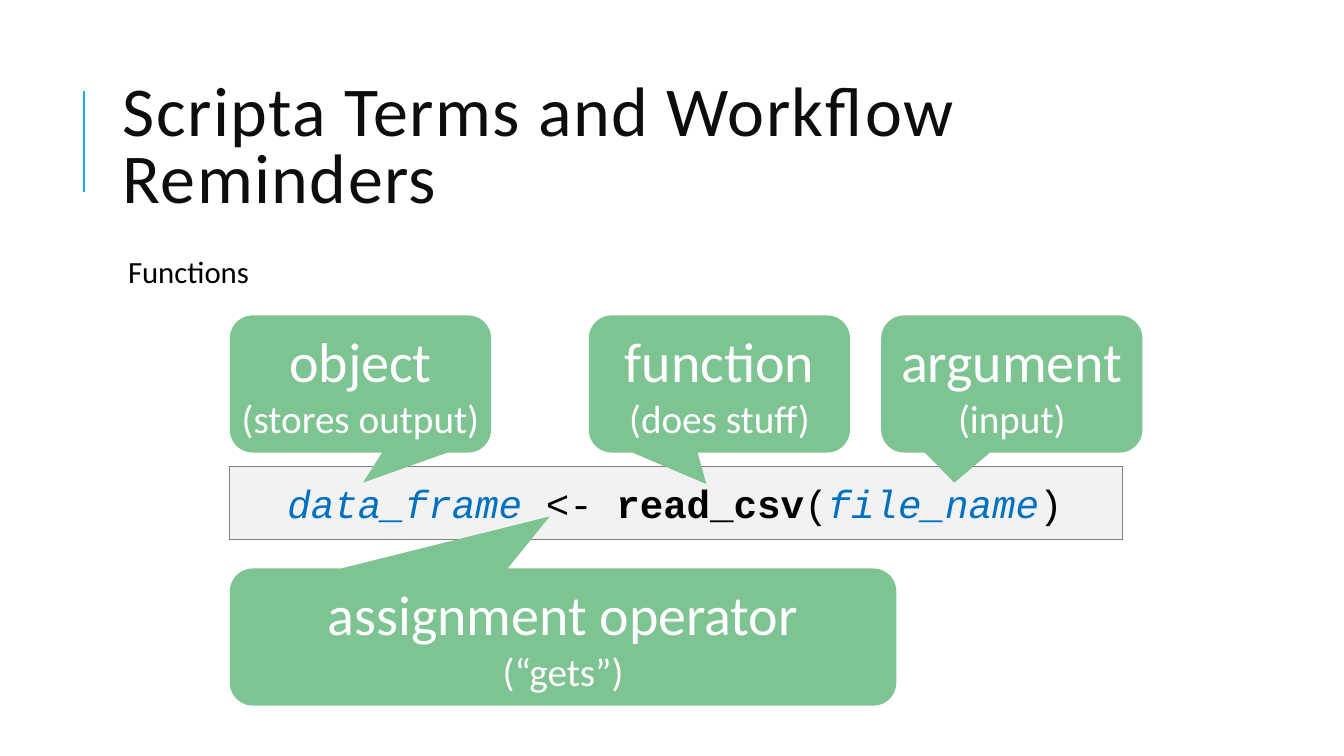
from dataclasses import dataclass

from lxml import etree
from pptx import Presentation
from pptx import util as u
from pptx.dml.color import RGBColor
from pptx.enum import shapes, text
from pptx.oxml.ns import qn


@dataclass(frozen=True)
class Theme:
    accent: str = "1CADE4"
    title: str = "0D0D0D"
    black: str = "000000"
    white: str = "FFFFFF"
    variable: str = "0070C0"
    callout: str = "7EC492"
    code_fill: str = "F2F2F2"
    code_line: str = "808080"
    body_font: str = "Calibri"
    code_font: str = "Courier New"
    title_size: int = 50
    term_size: int = 40
    code_size: int = 28
    note_size: int = 28
    topic_size: int = 22


THEME = Theme()
MARGIN = 2.28  # left edge shared by the diagram


def add_run(paragraph, words, size, color, font=THEME.body_font, bold=False, italic=False):
    run = paragraph.add_run()
    run.text = words
    run.font.name = font
    run.font.size = u.Pt(size)
    run.font.bold = bold
    run.font.italic = italic
    run.font.color.rgb = RGBColor.from_string(color)
    return run


def set_frame(shape, anchor, left=0.0, top=0.0):
    frame = shape.text_frame
    frame.word_wrap = True
    frame.vertical_anchor = anchor
    frame.margin_left, frame.margin_top = u.Inches(left), u.Inches(top)
    frame.margin_right = frame.margin_bottom = 0
    return frame


def add_label(slide, box, words, size, color, anchor, left, top, line_spacing):
    label = slide.shapes.add_textbox(*map(u.Inches, box))
    paragraph = set_frame(label, anchor, left, top).paragraphs[0]
    paragraph.line_spacing = line_spacing
    return add_run(paragraph, words, size, color)


def add_filled(slide, preset, box, fill):
    shape = slide.shapes.add_shape(preset, *map(u.Inches, box))
    shape.shadow.inherit = False
    shape.fill.solid()
    shape.fill.fore_color.rgb = RGBColor.from_string(fill)
    shape.line.fill.background()
    return shape


def add_title_rule(slide):
    x = u.Inches(0.83)
    rule = slide.shapes.add_connector(
        shapes.MSO_CONNECTOR.STRAIGHT, x, u.Inches(1.9), x, u.Inches(0.9))
    rule.line.color.rgb = RGBColor.from_string(THEME.accent)
    rule.line.width = u.Pt(1.5)
    etree.SubElement(rule._element.spPr, qn("a:effectLst"))


def add_code_line(slide):
    bar = add_filled(slide, shapes.MSO_SHAPE.RECTANGLE,
                     (MARGIN, 4.63, 8.85, 0.72), THEME.code_fill)
    bar.line.color.rgb = RGBColor.from_string(THEME.code_line)
    bar.line.width = u.Pt(0.75)
    code = set_frame(bar, text.MSO_ANCHOR.MIDDLE, left=0.57).paragraphs[0]
    code.alignment = text.PP_ALIGN.LEFT
    for token, color, bold, italic in (
        ("data_frame ", THEME.variable, False, True),
        ("<- ", THEME.black, False, False),
        ("read_csv", THEME.black, True, False),
        ("(", THEME.black, False, False),
        ("file_name", THEME.variable, False, True),
        (")", THEME.black, False, False),
    ):
        add_run(code, token, THEME.code_size, color, THEME.code_font, bold, italic)


def add_callout(slide, term, note, left, top, width, tip):
    """Rounded callout; tip is the pointer's offset from the centre."""
    callout = add_filled(slide, shapes.MSO_SHAPE.ROUNDED_RECTANGULAR_CALLOUT,
                         (left, top, width, 1.36), THEME.callout)
    callout.adjustments[0], callout.adjustments[1] = tip
    frame = set_frame(callout, text.MSO_ANCHOR.MIDDLE)
    lines = (frame.paragraphs[0], term, THEME.term_size), (frame.add_paragraph(), note, THEME.note_size)
    for paragraph, words, size in lines:
        paragraph.alignment = text.PP_ALIGN.CENTER
        add_run(paragraph, words, size, THEME.white)


def main():
    deck = Presentation()
    deck.slide_width, deck.slide_height = u.Inches(13.33), u.Inches(7.5)
    slide = deck.slides.add_slide(deck.slide_layouts[6])

    # Heading
    add_title_rule(slide)
    heading = add_label(slide, (1.12, 0.64, 10.63, 1.64),
                        "Scripta Terms and Workflow Reminders", THEME.title_size,
                        THEME.title, text.MSO_ANCHOR.MIDDLE, 0.1, 0.05, 0.8)
    heading._r.get_or_add_rPr().set("spc", "100")
    add_label(slide, (1.12, 2.5, 10.63, 0.5), "Functions", THEME.topic_size,
              THEME.black, text.MSO_ANCHOR.TOP, 0.15, 0.05, 0.9)

    # Code with its parts explained
    add_code_line(slide)
    for term, note, left, top, width, tip in (
        ("object", "(stores output)", MARGIN, 3.13, 2.59, (0.01, 0.72)),
        ("function", "(does stuff)", 5.84, 3.13, 2.59, (-0.05, 0.73)),
        ("argument", "(input)", 8.74, 3.13, 2.59, (-0.22, 0.72)),
        ("assignment operator", "(“gets”)", MARGIN, 5.64, 6.61, (-0.02, -0.88)),
    ):
        add_callout(slide, term, note, left, top, width, tip)

    deck.save("out.pptx")


if __name__ == "__main__":
    main()
